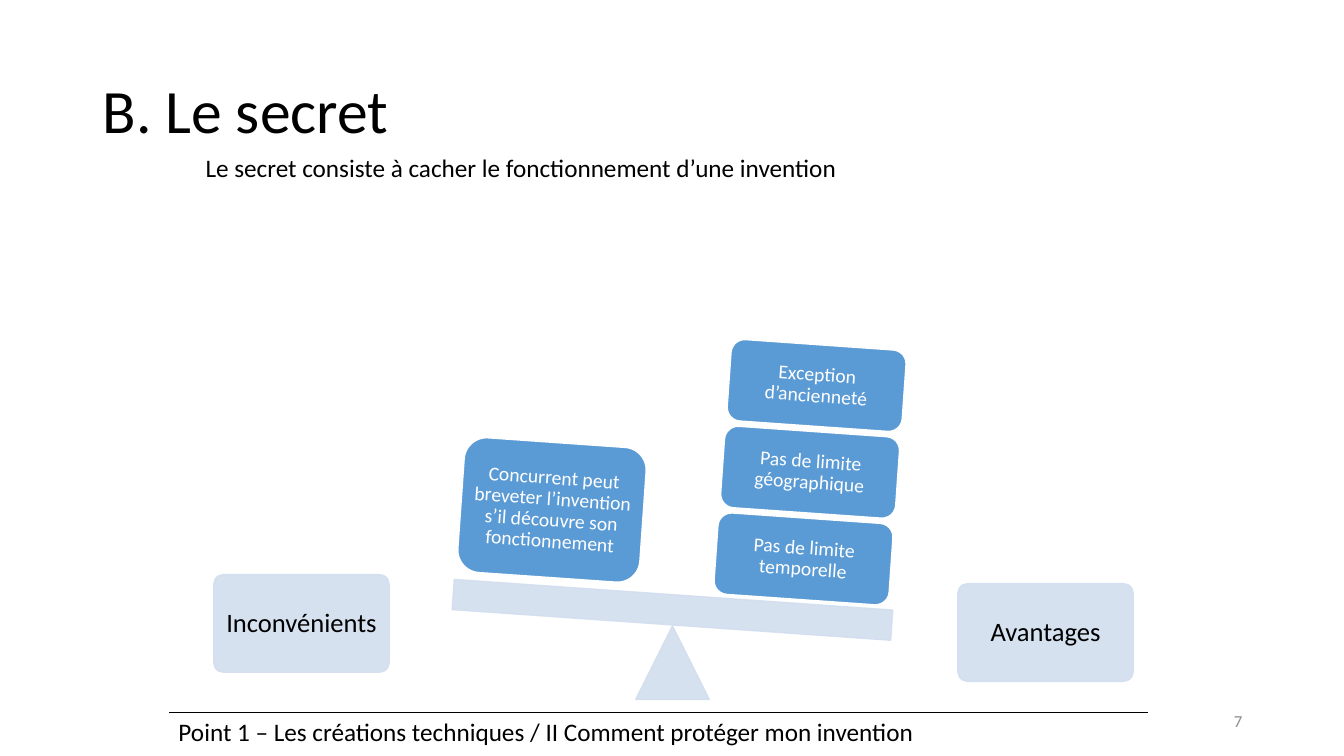
from collections import namedtuple

from lxml.etree import SubElement
from pptx import Presentation
from pptx.dml.color import RGBColor
from pptx.enum.shapes import MSO_SHAPE as Shape
from pptx.enum.text import MSO_ANCHOR as Anchor, PP_ALIGN as Align
from pptx.oxml.ns import qn
from pptx.util import Inches, Pt

Box = namedtuple("Box", "left top width height")

BLACK = RGBColor(0x00, 0x00, 0x00)
WHITE = RGBColor(0xFF, 0xFF, 0xFF)
GREY = RGBColor(0x8C, 0x8C, 0x8C)
BLUE = RGBColor(0x5B, 0x9B, 0xD5)
PALE = RGBColor(0xD2, 0xDE, 0xEF)
FONT = "Calibri"
TILT = 4

SLIDE = Box(0, 0, 13.33, 7.5)
HEADING = Box(0.92, 0.4, 11.5, 1.45)
DEFINITION = Box(1.94, 1.46, 9.53, 0.4)
BALANCE = Box(2.12, 3.42, 9.12, 3.52)
FOOTER = Box(1.67, 7.07, 9.72, 0.41)
PAGE_NUMBER = Box(9.42, 6.95, 3, 0.4)

DRAWBACKS = ["Concurrent peut breveter l’invention s’il découvre son fonctionnement"]
BENEFITS = ["Pas de limite temporelle", "Pas de limite géographique", "Exception d’ancienneté"]


def inches(box):
    return [Inches(length) for length in box]


def within(box, left, top, width, height):
    """Place a part by its offset from the corner of box."""
    return Box(box.left + left, box.top + top, width, height)


def write(frame, text, size, color=BLACK, align=Align.LEFT, spacing=1.0):
    frame.word_wrap = True
    paragraph = frame.paragraphs[0]
    paragraph.text = text
    paragraph.alignment = align
    paragraph.line_spacing = spacing
    paragraph.font.name = FONT
    paragraph.font.size = Pt(size)
    paragraph.font.color.rgb = color


def add_text(slide, box, text, size, anchor=Anchor.TOP, **style):
    frame = slide.shapes.add_textbox(*inches(box)).text_frame
    frame.vertical_anchor = anchor
    write(frame, text, size, **style)


def add_solid(slide, kind, box, fill, line, tilt=0):
    solid = slide.shapes.add_shape(kind, *inches(box))
    solid.shadow.inherit = False
    solid.rotation = tilt
    solid.fill.solid()
    solid.fill.fore_color.rgb = fill
    solid.line.color.rgb = line
    solid.line.width = Pt(1)
    return solid


def add_pale(slide, kind, box, tilt=0):
    """Add a solid whose fill and line are 90 % opaque."""
    solid = add_solid(slide, kind, box, PALE, PALE, tilt)
    for color in solid._element.spPr.iter(qn("a:srgbClr")):
        SubElement(color, qn("a:alpha"), val="90000")
    return solid


def label(solid, text, size, color, inset):
    frame = solid.text_frame
    frame.margin_left = frame.margin_right = Inches(inset)
    frame.margin_top = frame.margin_bottom = Inches(inset)
    frame.vertical_anchor = Anchor.MIDDLE
    write(frame, text, size, color, Align.CENTER, 0.9)


def add_pan_title(slide, box, text):
    plate = add_pale(slide, Shape.ROUNDED_RECTANGLE, box)
    plate.adjustments[0] = 0.1
    label(plate, text, 19, BLACK, 0.08)


def add_weights(slide, lowest, texts):
    """Stack weights upwards from the lowest, leaning with the beam."""
    for level, text in enumerate(texts):
        box = within(lowest, 0.065 * level, -0.86 * level, lowest.width, lowest.height)
        weight = add_solid(slide, Shape.ROUNDED_RECTANGLE, box, BLUE, WHITE, TILT)
        label(weight, text, 14, WHITE, 0.06)


def add_balance(slide, box):
    plate_width, plate_height = 1.74, 0.97
    add_pan_title(slide, within(box, 0, 2.28, plate_width, plate_height), "Inconvénients")
    add_pan_title(slide, within(box, box.width - plate_width, 2.37, plate_width, plate_height),
                  "Avantages")
    pivot = 0.73
    add_pale(slide, Shape.ISOSCELES_TRIANGLE,
             within(box, (box.width - pivot) / 2 - 0.01, box.height - pivot, pivot, pivot))
    add_pale(slide, Shape.RECTANGLE, within(box, 2.37, 2.48, 4.36, 0.3), TILT)
    add_weights(slide, within(box, 4.98, 1.72, 1.74, 0.81), BENEFITS)
    add_weights(slide, within(box, 2.45, 0.97, 1.81, 1.34), DRAWBACKS)


def add_border(cell, side, color, width):
    border = SubElement(cell._tc.get_or_add_tcPr(), qn(f"a:{side}"), w=str(Pt(width)))
    SubElement(SubElement(border, qn("a:solidFill")), qn("a:srgbClr"), val=str(color))


def add_footer(slide, box, text):
    table = slide.shapes.add_table(1, 1, *inches(box)).table
    table.first_row = table.horz_banding = False
    cell = table.cell(0, 0)
    for side, color, width in (("lnL", WHITE, 1), ("lnR", WHITE, 1),
                               ("lnT", BLACK, 1), ("lnB", WHITE, 3)):
        add_border(cell, side, color, width)
    cell.fill.background()
    write(cell.text_frame, text, 18)


def main():
    deck = Presentation()
    deck.slide_width, deck.slide_height = Inches(SLIDE.width), Inches(SLIDE.height)
    slide = deck.slides.add_slide(deck.slide_layouts[6])
    add_text(slide, HEADING, "B. Le secret", 44, Anchor.MIDDLE, spacing=0.9)
    add_balance(slide, BALANCE)
    add_text(slide, DEFINITION, "Le secret consiste à cacher le fonctionnement d’une invention", 18)
    add_text(slide, PAGE_NUMBER, "7", 12, Anchor.MIDDLE, color=GREY, align=Align.RIGHT)
    add_footer(slide, FOOTER,
               "Point 1 – Les créations techniques / II Comment protéger mon invention")
    deck.save("out.pptx")


if __name__ == "__main__":
    main()
